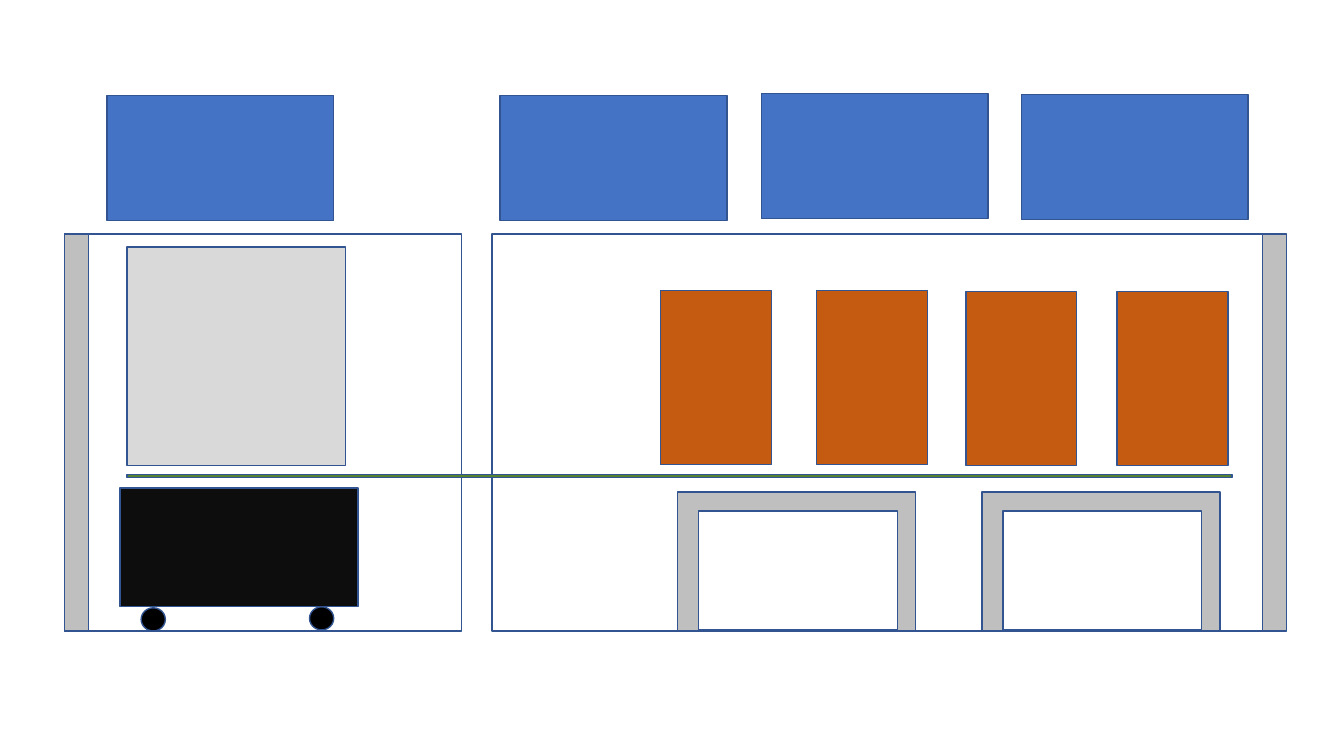
import dataclasses
import typing

import pptx
import pptx.dml.color
import pptx.enum.shapes
import pptx.util

Inches = pptx.util.Inches
RGBColor = pptx.dml.color.RGBColor
MSO_SHAPE = pptx.enum.shapes.MSO_SHAPE

OUTLINE = RGBColor(0x32, 0x54, 0x91)
WHITE = RGBColor(0xFF, 0xFF, 0xFF)
BLACK = RGBColor(0x00, 0x00, 0x00)
CART_BLACK = RGBColor(0x0D, 0x0D, 0x0D)
WALL_GRAY = RGBColor(0xBF, 0xBF, 0xBF)
BOX_GRAY = RGBColor(0xD9, 0xD9, 0xD9)
ORANGE = RGBColor(0xC5, 0x5A, 0x11)
GREEN = RGBColor(0x54, 0x82, 0x35)
BLUE = RGBColor(0x44, 0x72, 0xC4)

LINE_FORMAT = {"width": pptx.util.Pt(1)}
ROOM_TOP, ROOM_HEIGHT = 2.32, 3.94


@dataclasses.dataclass(frozen=True)
class Block:
    left: float
    top: float
    width: float
    height: float
    color: RGBColor
    kind: MSO_SHAPE = MSO_SHAPE.RECTANGLE


def draw_blocks(shapes: typing.Any, blocks: typing.Iterable[Block]) -> None:
    for b in blocks:
        sp = shapes.add_shape(
            b.kind, Inches(b.left), Inches(b.top), Inches(b.width), Inches(b.height)
        )
        sp.shadow.inherit = False
        sp.fill.solid()
        sp.fill.fore_color.rgb = b.color
        sp.line.color.rgb = OUTLINE
        for name, value in LINE_FORMAT.items():
            setattr(sp.line, name, value)


def room_part(left: float, width: float, color: RGBColor) -> Block:
    return Block(left, ROOM_TOP, width, ROOM_HEIGHT, color)


def table_stand(left: float) -> list[Block]:
    return [
        Block(left, 4.88, 2.36, 1.38, WALL_GRAY),
        Block(left + 0.21, 5.07, 1.97, 1.18, WHITE),
    ]


def main() -> None:
    prs = pptx.Presentation()
    prs.slide_width, prs.slide_height = Inches(13.33), Inches(7.5)
    shapes = prs.slides.add_slide(prs.slide_layouts[6]).shapes

    rooms = [room_part(4.88, 7.87, WHITE), room_part(0.64, 3.94, WHITE)]
    walls = [room_part(left, 0.24, WALL_GRAY) for left in (12.52, 0.64)]
    crates = [
        Block(left, top, 1.1, 1.73, ORANGE)
        for left, top in ((11.08, 2.89), (9.58, 2.89), (8.1, 2.88), (6.55, 2.88))
    ]
    cart = [
        Block(1.19, 4.84, 2.36, 1.18, CART_BLACK),
        Block(1.4, 6.03, 0.24, 0.23, BLACK, MSO_SHAPE.OVAL),
        Block(3.07, 6.02, 0.24, 0.23, BLACK, MSO_SHAPE.OVAL),
    ]
    machine = Block(1.26, 2.45, 2.17, 2.17, BOX_GRAY)
    rail = Block(1.26, 4.71, 10.96, 0.03, GREEN)
    panels = [
        Block(left, top, 2.25, 1.24, BLUE)
        for left, top in ((4.96, 0.95), (7.55, 0.93), (10.13, 0.94), (1.06, 0.95))
    ]

    draw_blocks(shapes, rooms + walls + crates)
    for left in (9.74, 6.72):
        draw_blocks(shapes.add_group_shape().shapes, table_stand(left))
    draw_blocks(shapes, [machine])
    draw_blocks(shapes.add_group_shape().shapes, cart)
    draw_blocks(shapes, [rail] + panels)

    prs.save("out.pptx")


if __name__ == "__main__":
    main()
